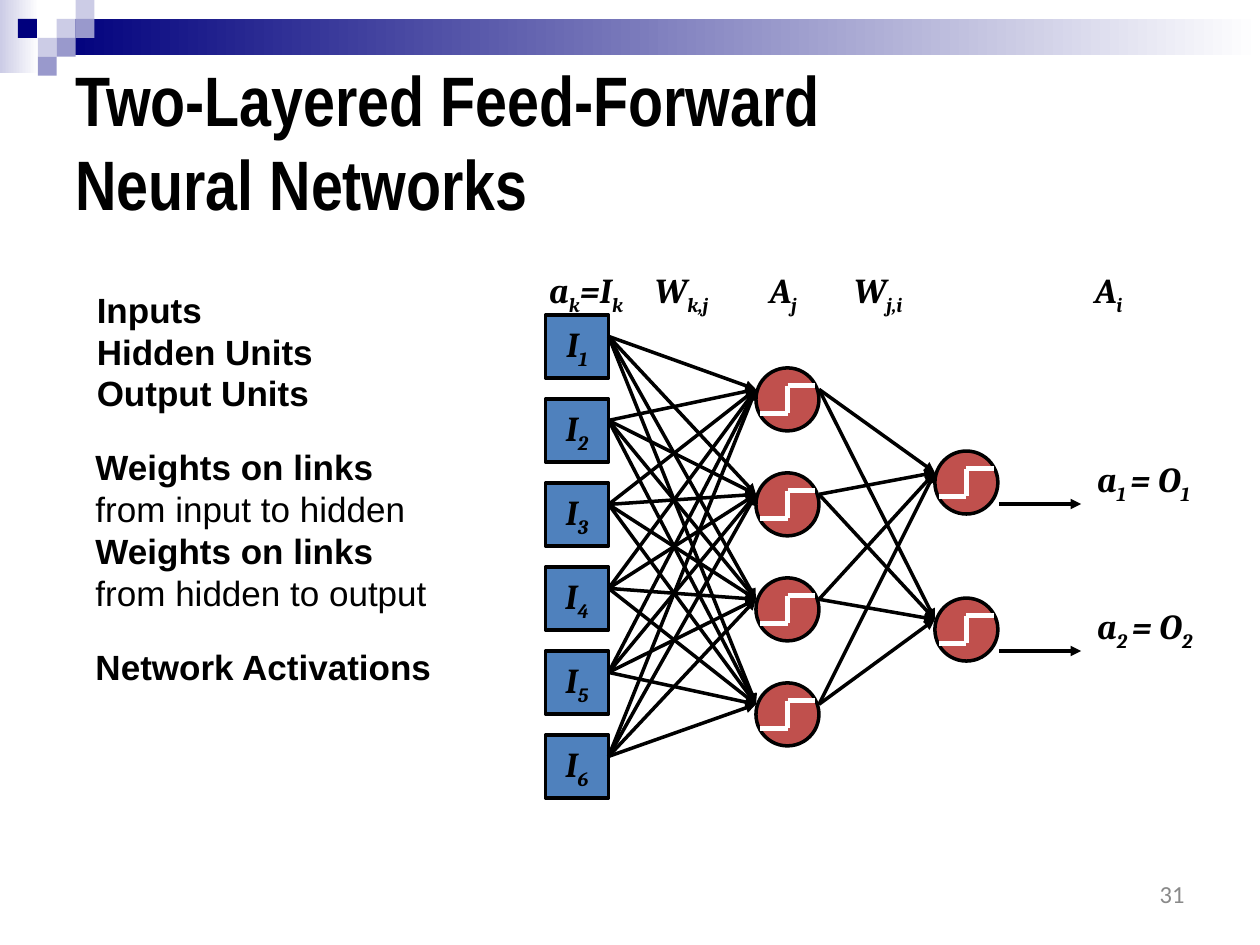
import dataclasses

import lxml.etree
import pptx
import pptx.dml.color
import pptx.enum.shapes
import pptx.enum.text
import pptx.oxml.ns
import pptx.util

Inches = pptx.util.Inches
Shape = pptx.enum.shapes.MSO_SHAPE
Align = pptx.enum.text.PP_ALIGN
Anchor = pptx.enum.text.MSO_ANCHOR


@dataclasses.dataclass(frozen=True)
class Theme:
    black: str = "000000"
    white: str = "FFFFFF"
    navy: str = "00007D"
    pale: str = "CCCCE6"
    lilac: str = "9999CC"
    blue: str = "4F81BD"
    red: str = "C0504D"
    gray: str = "898989"
    head: int = 40
    body: int = 20
    foot: int = 14
    thin: int = 2
    thick: int = 3


@dataclasses.dataclass(frozen=True)
class Style:
    font: str
    size: int
    bold: bool = True
    slant: bool = False
    color: str = Theme.black


THEME = Theme()
TITLE = Style("Arial Narrow", THEME.head)
LABEL = Style("Arial", THEME.body)
PLAIN = Style("Arial", THEME.body, bold=False)
MATH = Style("Cambria", THEME.body, slant=True)
FOOT = Style("Calibri", THEME.foot, bold=False, color=THEME.gray)

SIDE = 0.5    # width of a node
PORT = 0.17   # links meet a node this far below its top


def rgb(color):
    return pptx.dml.color.RGBColor.from_string(color)


def add_run(para, text, style, sub=False):
    run = para.add_run()
    run.text = text
    font = run.font
    font.name, font.size = style.font, pptx.util.Pt(style.size)
    font.bold, font.italic = style.bold, style.slant
    font.color.rgb = rgb(style.color)
    if sub:
        run._r.get_or_add_rPr().set("baseline", "-25000")


def add_math(para, parts):
    """Write parts that take turns as base text and subscript."""
    for i, part in enumerate(parts):
        add_run(para, part, MATH, sub=i % 2 == 1)


def add_box(slide, x, y, w, h, wrap=True):
    frame = slide.shapes.add_textbox(Inches(x), Inches(y), Inches(w), Inches(h)).text_frame
    frame.word_wrap = wrap
    if not wrap:
        frame.auto_size = pptx.enum.text.MSO_AUTO_SIZE.SHAPE_TO_FIT_TEXT
    return frame


def add_label(slide, x, y, h, *lines):
    """Write one paragraph for each (text, style) pair."""
    frame = add_box(slide, x, y, 3, h)
    for i, (text, style) in enumerate(lines):
        para = frame.add_paragraph() if i else frame.paragraphs[0]
        add_run(para, text, style)


def add_term(slide, x, y, w, *parts):
    add_math(add_box(slide, x, y, w, 0.48, wrap=False).paragraphs[0], parts)


def add_shape(slide, kind, x, y, w, h, *fills, line=False):
    """Draw a shape with one fill colour, or two for a gradient."""
    shape = slide.shapes.add_shape(kind, Inches(x), Inches(y), Inches(w), Inches(h))
    shape.shadow.inherit = False
    if len(fills) == 1:
        shape.fill.solid()
        shape.fill.fore_color.rgb = rgb(fills[0])
    else:
        shape.fill.gradient()
        shape.fill.gradient_angle = 0
        for stop, color in zip(shape.fill.gradient_stops, fills):
            stop.color.rgb = rgb(color)
    if line:
        shape.line.color.rgb = rgb(THEME.black)
        shape.line.width = pptx.util.Pt(THEME.thin)
    else:
        shape.line.fill.background()
    return shape


def add_line(slide, x1, y1, x2, y2, color, width, arrow=False):
    line = slide.shapes.add_connector(
        pptx.enum.shapes.MSO_CONNECTOR.STRAIGHT, Inches(x1), Inches(y1), Inches(x2), Inches(y2))
    line.line.color.rgb = rgb(color)
    line.line.width = pptx.util.Pt(width)
    qn = pptx.oxml.ns.qn
    if arrow:
        lxml.etree.SubElement(line.line._get_or_add_ln(), qn("a:tailEnd"), type="triangle")
    lxml.etree.SubElement(line._element.spPr, qn("a:effectLst"))


def add_arrow(slide, x1, y1, x2, y2):
    add_line(slide, x1, y1, x2, y2, THEME.black, THEME.thin, arrow=True)


def add_input(slide, x, y, index):
    shape = add_shape(slide, Shape.RECTANGLE, x, y, SIDE, SIDE, THEME.blue, line=True)
    frame = shape.text_frame
    frame.word_wrap = False
    frame.vertical_anchor = Anchor.MIDDLE
    frame.paragraphs[0].alignment = Align.CENTER
    add_math(frame.paragraphs[0], ["I", str(index)])


def add_unit(slide, x, y):
    """Draw a round unit with its step function."""
    add_shape(slide, Shape.OVAL, x, y, SIDE, SIDE, THEME.red, line=True)
    left, mid, right, low, high = x + 0.03, x + 0.25, x + 0.47, y + 0.36, y + 0.14
    for ends in [(left, low, mid, low), (mid, high, right, high), (mid, low, mid, high)]:
        add_line(slide, *ends, THEME.white, THEME.thick)


def add_links(slide, x1, tops, x2, goals):
    for top in tops:
        for goal in goals:
            add_arrow(slide, x1 + SIDE, top + PORT, x2, goal + PORT)


def add_trim(slide):
    add_shape(slide, Shape.RECTANGLE, 0, 0, 0.31, 0.58, THEME.pale, THEME.white)
    add_shape(slide, Shape.RECTANGLE, 0.45, 0.15, 9.55, 0.29, THEME.navy, THEME.white)
    unit = 0.15
    tiles = [(3, 1, THEME.pale), (4, 0, THEME.pale), (4, 1, THEME.lilac), (2, 2, THEME.pale),
             (0.95, 1, THEME.navy), (3, 2, THEME.lilac), (2, 3, THEME.lilac)]
    for col, row, color in tiles:
        add_shape(slide, Shape.RECTANGLE, col * unit, row * unit, unit, unit, color)


def add_title(slide):
    frame = add_box(slide, 0.5, 0.46, 9, 1.31)
    frame.vertical_anchor = Anchor.MIDDLE
    para = frame.paragraphs[0]
    add_run(para, "Two-Layered Feed-Forward ", TITLE)
    para.add_line_break()
    add_run(para, "Neural Networks", TITLE)


def add_net(slide):
    in_x, mid_x, out_x = 4.33, 6, 7.42
    ins = [2.5 + i * 2 / 3 for i in range(6)]
    mids = [2.92 + i * 5 / 6 for i in range(4)]
    outs = [3.58 + i * 7 / 6 for i in range(2)]

    # Input and hidden layers
    for i, top in enumerate(ins, 1):
        add_input(slide, in_x, top, i)
    for top in mids:
        add_unit(slide, mid_x, top)
    add_links(slide, in_x, ins, mid_x, mids)

    # Output layer
    for top in outs:
        add_unit(slide, out_x, top)
    add_links(slide, mid_x, mids, out_x, outs)
    for i, top in enumerate(outs, 1):
        add_arrow(slide, 7.93, top + 0.42, 8.58, top + 0.42)
        add_term(slide, 8.61, top, 1, "a", f"{i} ", "= O", str(i))


def add_notes(slide):
    # Names of the parts
    for i, text in enumerate(["Inputs", "Hidden Units", "Output Units"]):
        add_label(slide, 0.67, 2.24 + i * 0.33, 0.44, (text, LABEL))
    for y, text in [(3.49, "from input to hidden"), (4.15, "from hidden to output")]:
        add_label(slide, 0.66, y, 0.77, ("Weights on links", LABEL), (text, PLAIN))
    add_label(slide, 0.66, 5.07, 0.44, ("Network Activations", LABEL))

    # Symbols above the network
    for x, w, *parts in [(4.26, 0.81, "a", "k", "=I", "k"), (5.1, 0.66, "W", "k,j"),
                         (6.01, 0.45, "A", "j"), (6.68, 0.62, "W", "j,i"), (8.59, 0.45, "A", "i")]:
        add_term(slide, x, 2.08, w, *parts)


def add_foot(slide):
    frame = add_box(slide, 7.17, 6.92, 2.33, 0.35)
    frame.vertical_anchor = Anchor.MIDDLE
    frame.paragraphs[0].alignment = Align.RIGHT
    add_run(frame.paragraphs[0], "31", FOOT)


def main():
    deck = pptx.Presentation()
    deck.slide_width, deck.slide_height = Inches(10), Inches(7.5)
    slide = deck.slides.add_slide(deck.slide_layouts[6])
    for part in (add_trim, add_title, add_net, add_notes, add_foot):
        part(slide)
    deck.save("out.pptx")


if __name__ == "__main__":
    main()
